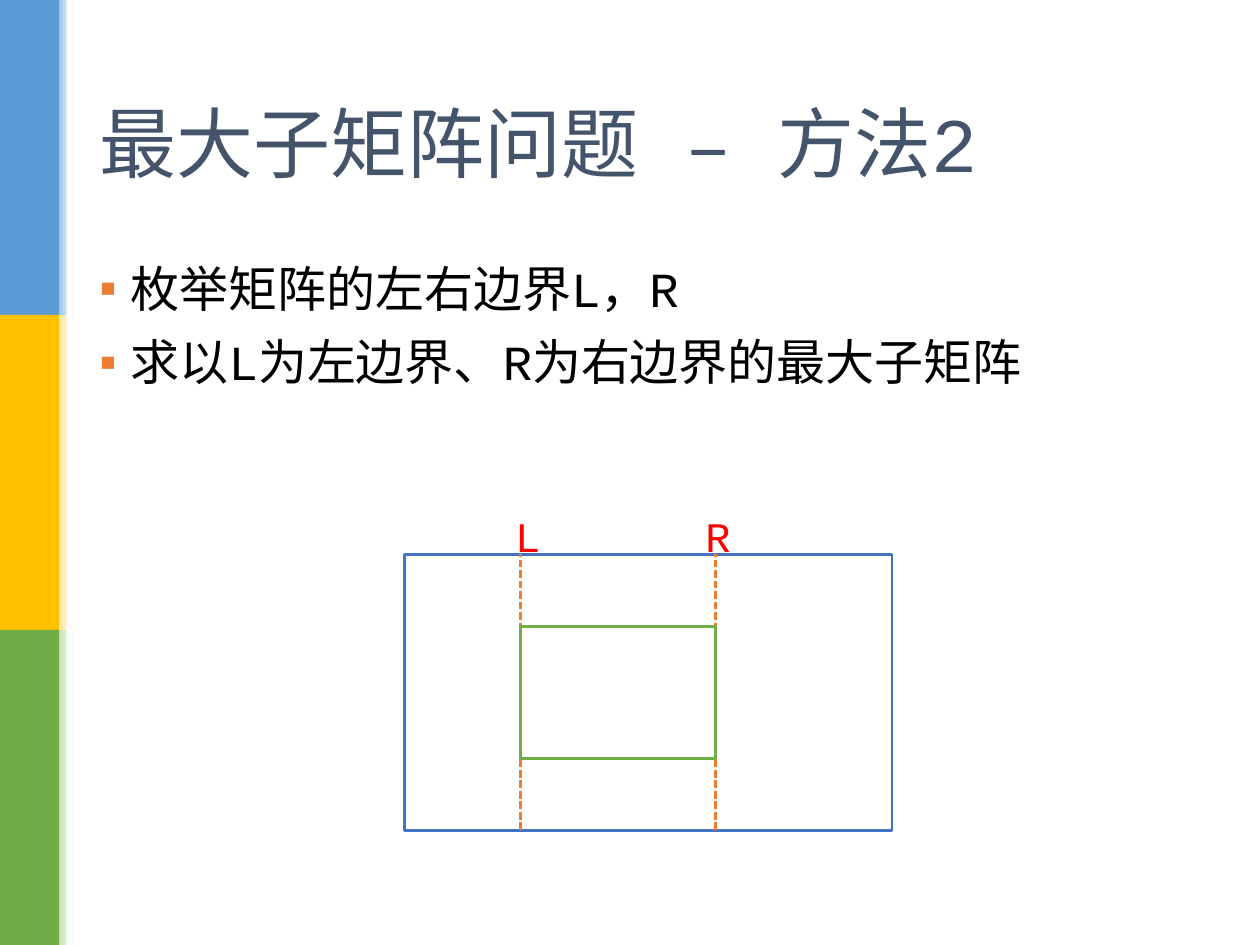
from lxml import etree
from pptx import Presentation
from pptx.dml.color import RGBColor
from pptx.enum import dml, shapes, text
from pptx.oxml import ns
from pptx.util import Inches, Pt

BLUE = RGBColor(0x5B, 0x9B, 0xD5)
GOLD = RGBColor(0xFF, 0xC0, 0x00)
GREEN = RGBColor(0x70, 0xAD, 0x47)
PALE_BLUE = RGBColor(0x9D, 0xC3, 0xE6)
PALE_GOLD = RGBColor(0xFF, 0xE6, 0x99)
PALE_GREEN = RGBColor(0xC5, 0xE0, 0xB4)
NAVY = RGBColor(0x44, 0x72, 0xC4)
SLATE = RGBColor(0x44, 0x54, 0x6A)
ORANGE = RGBColor(0xED, 0x7D, 0x31)
RED = RGBColor(0xFF, 0, 0)
BLACK = RGBColor(0, 0, 0)
WHITE = RGBColor(0xFF, 0xFF, 0xFF)
FONT = "Courier New"


def style(para, size, color):
    para.alignment = text.PP_ALIGN.LEFT
    for run in para.runs:
        run.font.size = Pt(size)
        run.font.name = FONT
        run.font.color.rgb = color
        props = run.font._element
        etree.SubElement(props, ns.qn("a:ea"), typeface=FONT)


def add_rect(slide, x, y, w, h, fill=WHITE, line=None):
    rect = slide.shapes.add_shape(
        shapes.MSO_SHAPE.RECTANGLE, Inches(x), Inches(y), Inches(w), Inches(h))
    rect.shadow.inherit = False
    rect.fill.solid()
    rect.fill.fore_color.rgb = fill
    if line is None:
        rect.line.fill.background()
    else:
        rect.line.color.rgb = line
        rect.line.width = Pt(1.5)
    return rect


def add_band(slide, x, y, w, h):
    step = h / 3
    edge = 0.12
    pairs = [(BLUE, PALE_BLUE), (GOLD, PALE_GOLD), (GREEN, PALE_GREEN)]
    for row, (full, pale) in enumerate(pairs):
        top = y + row * step
        add_rect(slide, x, top, w - edge, step, full)
        fade = add_rect(slide, x + w - edge, top, edge, step)
        fade.fill.gradient()
        fade.fill.gradient_angle = 0
        for stop, color in zip(fade.fill.gradient_stops, (pale, WHITE)):
            stop.color.rgb = color
        for stop, place in zip(fade.fill.gradient_stops, (0, 1)):
            stop.position = place
    add_rect(slide, x + w - 0.06, y, 0.04, h)


def add_title(slide, x, y, w, h):
    title = slide.shapes.title
    title.left, title.top = Inches(x), Inches(y)
    title.width, title.height = Inches(w), Inches(h)
    frame = title.text_frame
    frame.text = "最大子矩阵问题 – 方法2"
    frame.vertical_anchor = text.MSO_ANCHOR.MIDDLE
    style(frame.paragraphs[0], 44, SLATE)


def add_bullet(para):
    props = para._p.get_or_add_pPr()
    props.set("marL", str(Inches(0.25)))
    props.set("indent", str(-Inches(0.25)))
    color = etree.SubElement(props, ns.qn("a:buClr"))
    etree.SubElement(color, ns.qn("a:srgbClr"), val=str(ORANGE))
    etree.SubElement(props, ns.qn("a:buFont"), typeface="Arial")
    etree.SubElement(props, ns.qn("a:buChar"), char="▪")


def add_points(slide, x, y, w, h):
    box = slide.shapes.add_textbox(Inches(x), Inches(y), Inches(w), Inches(h))
    frame = box.text_frame
    frame.word_wrap = True
    frame.text = "枚举矩阵的左右边界L，R\n求以L为左边界、R为右边界的最大子矩阵"
    for para in frame.paragraphs:
        style(para, 28, BLACK)
        para.space_before = Pt(8.4)
        add_bullet(para)


def add_bound(slide, x, top, base):
    line = slide.shapes.add_connector(
        shapes.MSO_CONNECTOR.STRAIGHT,
        Inches(x), Inches(base), Inches(x), Inches(top))
    line.line.color.rgb = ORANGE
    line.line.width = Pt(1.5)
    line.line.dash_style = dml.MSO_LINE.SQUARE_DOT
    etree.SubElement(line._element.spPr, ns.qn("a:effectLst"))


def add_label(slide, x, y, name):
    box = slide.shapes.add_textbox(
        Inches(x), Inches(y), Inches(0.6), Inches(0.5))
    box.text_frame.word_wrap = True
    box.text_frame.text = name
    style(box.text_frame.paragraphs[0], 24, RED)


def add_matrix(slide, x, y, w, h):
    left, right = x + 0.92, x + 2.47
    add_rect(slide, x, y, w, h, line=NAVY)
    for bound in (left, right):
        add_bound(slide, bound, y, y + h)
    add_label(slide, left - 0.14, y - 0.4, "L")
    add_label(slide, right - 0.18, y - 0.4, "R")
    add_rect(slide, left, y + 0.57, right - left, 1.05, line=GREEN)


def main():
    deck = Presentation()
    deck.slide_width, deck.slide_height = Inches(10), Inches(7.5)
    slide = deck.slides.add_slide(deck.slide_layouts[5])
    add_band(slide, 0, 0, 0.59, 7.5)
    add_points(slide, 0.69, 2, 8.62, 4.76)
    add_title(slide, 0.69, 0.4, 8.62, 1.45)
    add_matrix(slide, 3.21, 4.4, 3.87, 2.19)
    deck.save("out.pptx")


if __name__ == "__main__":
    main()
